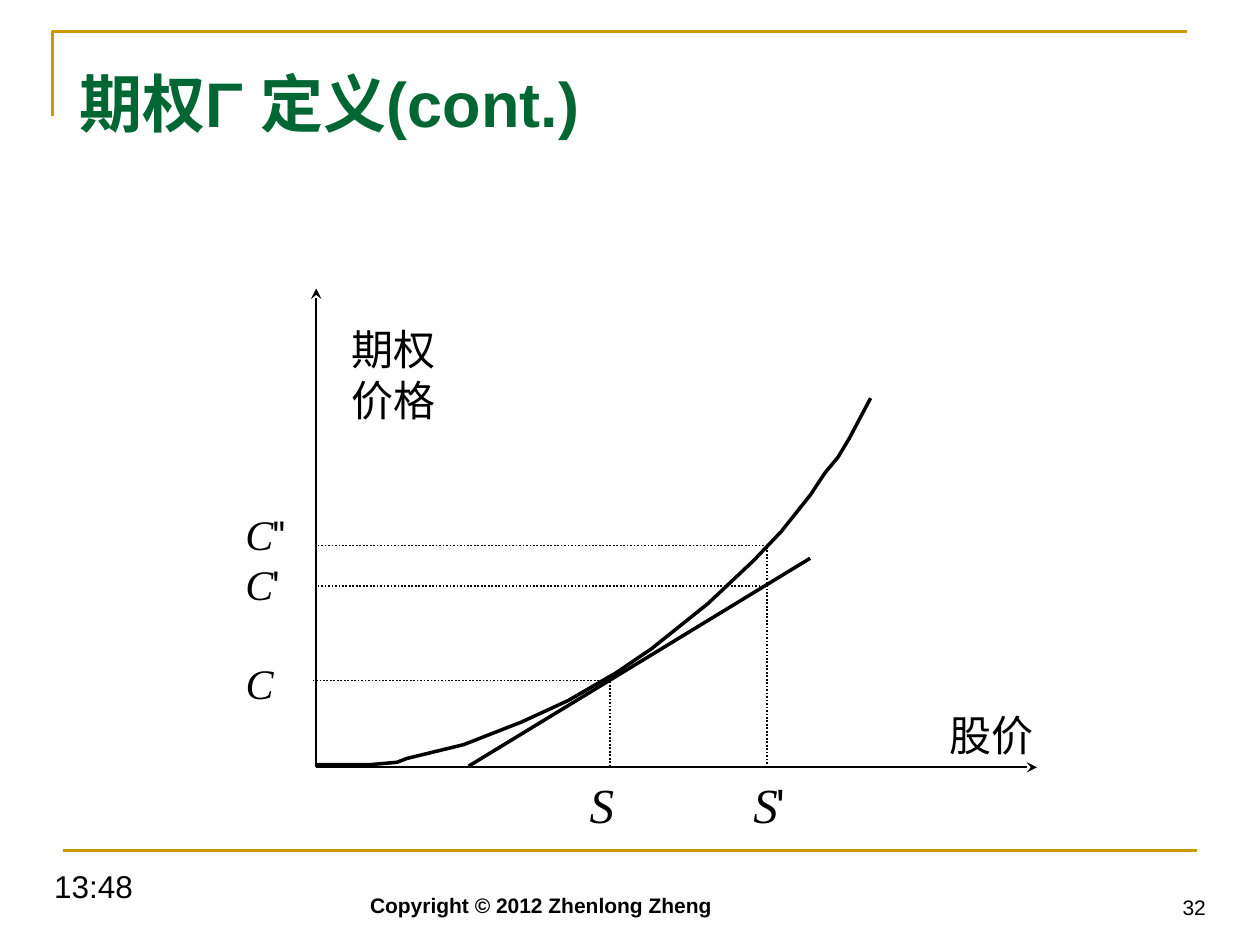
import pptx
import pptx.util
import pptx.dml.color
import pptx.enum.dml
import pptx.enum.shapes
import pptx.enum.text
import pptx.oxml
import pptx.oxml.ns

Pt = pptx.util.Pt
Color = pptx.dml.color.RGBColor.from_string
Align = pptx.enum.text.PP_ALIGN
Anchor = pptx.enum.text.MSO_ANCHOR

THEME = {
    "ink": "000000", "gold": "CC9900", "green": "006633",
    "sans": "Arial", "serif": "Times New Roman", "label": "Karla",
    "title": 36, "price": 28, "text": 24, "time": 18, "foot": 12,
    "thin": 1, "rule": 1.5, "bold": 2,
}

TITLE = ("期权Γ 定义(cont.)", (38.2, 33.1, 639.4, 84.2))

LEFT, BASE = 180.7, 438.5
SPOT, MOVED = 348.5, 438.5
AXES = [(LEFT, BASE, LEFT, 164.9), (LEFT, BASE, 592.6, BASE)]
DOTS = [
    (SPOT, 387.4, SPOT, BASE),
    (346.3, 388.8, 178.6, 388.8),
    (MOVED, BASE, MOVED, 312.5),
    (MOVED, 334.8, LEFT, 334.8),
    (MOVED, 311.8, LEFT, 311.8),
]
FRAME = [(30.2, 66.2), (30.2, 18), (678.2, 18)]
BOTTOM = (36, 486, 684, 486)
TANGENT = [(267.8, 437.8), (463, 319)]
CURVE = [
    (180.7, 437.8), (181.4, 437), (211, 437), (226.8, 435.6),
    (232.6, 433.4), (238.3, 432), (265, 425.5), (298, 412.6),
    (324.7, 400.3), (352, 384.5), (372.2, 370.8), (404.6, 344.9),
    (430.6, 320.4), (446.4, 303.8), (463, 283), (471.6, 270),
    (478.8, 261.4), (485.3, 250.6), (491.8, 238.3), (497.5, 227.5),
]

SYMBOLS = [
    ("S", "", "price", (329.8, 439.2, 30.2, 41)),
    ("S", "'", "price", (423.4, 439.2, 39.6, 41)),
    ("C", "", "text", (133.2, 372.2, 56.9, 36)),
    ("C", "'", "text", (133.2, 315.4, 69.8, 36)),
    ("C", "''", "text", (133.2, 287.3, 48.2, 36)),
]
LABELS = [
    ("股价", "label", "text", False, Align.LEFT, Anchor.TOP,
     (535.7, 401.8, 107.3, 36.7)),
    ("期权价格", "label", "text", False, Align.CENTER, Anchor.TOP,
     (185.8, 181.4, 77.8, 65.5)),
    ("13:48", "sans", "time", False, Align.LEFT, Anchor.TOP,
     (23.8, 491.8, 180, 37.4)),
    ("Copyright © 2012 Zhenlong Zheng", "sans", "foot", True, Align.CENTER,
     Anchor.BOTTOM, (48.2, 491.8, 522, 36)),
    ("32", "sans", "foot", False, Align.RIGHT, Anchor.BOTTOM,
     (516.2, 491.8, 180, 37.4)),
]


def style(font, face, size, color="ink", bold=False):
    font.name = THEME[face]
    font.size = Pt(THEME[size])
    font.color.rgb = Color(THEME[color])
    font.bold = bold


def stroke(line, color, width):
    line.color.rgb = Color(THEME[color])
    line.width = Pt(THEME[width])


def add_line(slide, ends, color="ink", width="thin", dots=False, arrow=False):
    line = slide.shapes.add_connector(
        pptx.enum.shapes.MSO_CONNECTOR.STRAIGHT, *map(Pt, ends))
    stroke(line.line, color, width)
    if dots:
        line.line.dash_style = pptx.enum.dml.MSO_LINE.ROUND_DOT
    props = line._element.spPr
    if arrow:
        tail = pptx.oxml.parse_xml(
            f'<a:tailEnd {pptx.oxml.ns.nsdecls("a")} type="stealth"/>')
        props.find(pptx.oxml.ns.qn("a:ln")).append(tail)
    props.append(pptx.oxml.parse_xml(
        f'<a:effectLst {pptx.oxml.ns.nsdecls("a")}/>'))


def add_path(slide, points, color, width):
    start, *rest = [(Pt(x), Pt(y)) for x, y in points]
    pen = slide.shapes.build_freeform(*start)
    pen.add_line_segments(rest, close=False)
    shape = pen.convert_to_shape()
    shape.shadow.inherit = False
    shape.fill.background()
    stroke(shape.line, color, width)


def add_box(slide, place, anchor=Anchor.TOP):
    frame = slide.shapes.add_textbox(*map(Pt, place)).text_frame
    frame.word_wrap = True
    frame.vertical_anchor = anchor
    return frame.paragraphs[0]


def add_label(slide, text, face, size, bold, align, anchor, place):
    para = add_box(slide, place, anchor)
    para.text = text
    para.alignment = align
    style(para.font, face, size, bold=bold)


def add_symbol(slide, letter, prime, size, place):
    para = add_box(slide, place)
    style(para.font, "serif", size)
    run = para.add_run()
    run.text = letter
    run.font.italic = True
    if prime:
        run = para.add_run()
        run.text = prime
        run.font.name = THEME["label"]


def add_title(slide, text, place):
    title = slide.shapes.title
    title.left, title.top, title.width, title.height = map(Pt, place)
    frame = title.text_frame
    frame.text = text
    frame.word_wrap = True
    frame.vertical_anchor = Anchor.TOP
    para = frame.paragraphs[0]
    para.alignment = Align.LEFT
    style(para.font, "sans", "title", "green", True)


def main():
    deck = pptx.Presentation()
    deck.slide_width, deck.slide_height = Pt(720), Pt(540)
    slide = deck.slides.add_slide(deck.slide_layouts[5])
    add_path(slide, FRAME, "gold", "rule")
    add_line(slide, BOTTOM, "gold", "rule")
    add_title(slide, *TITLE)
    for ends in AXES:
        add_line(slide, ends, arrow=True)
    for points in (CURVE, TANGENT):
        add_path(slide, points, "ink", "bold")
    for ends in DOTS:
        add_line(slide, ends, dots=True)
    for symbol in SYMBOLS:
        add_symbol(slide, *symbol)
    for label in LABELS:
        add_label(slide, *label)
    deck.save("out.pptx")


if __name__ == "__main__":
    main()
